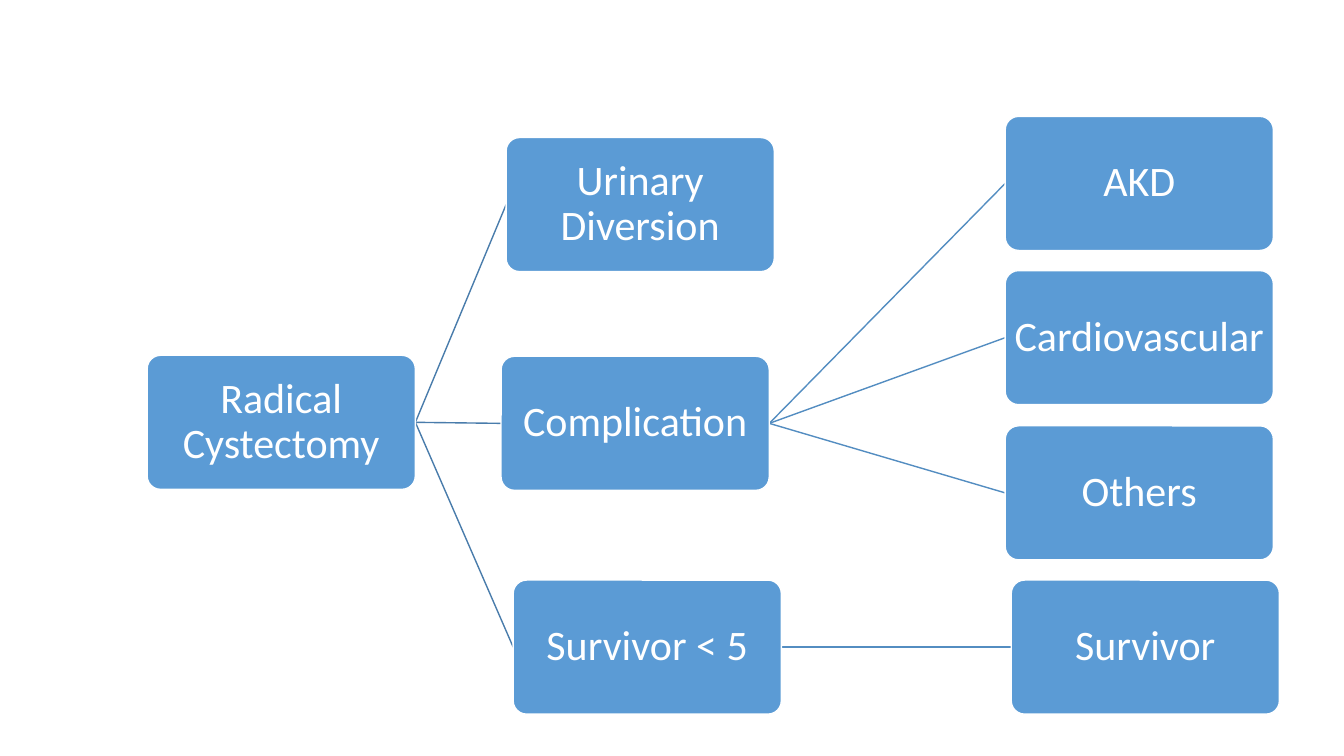
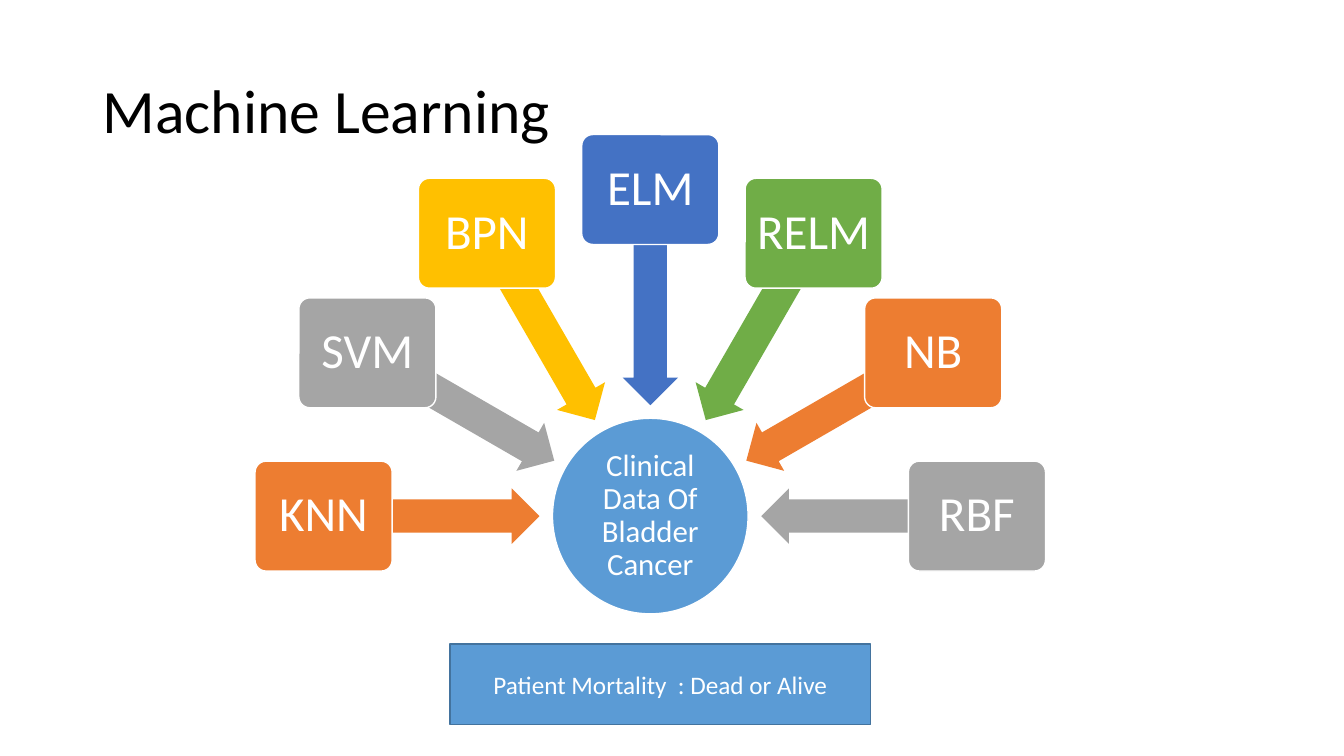
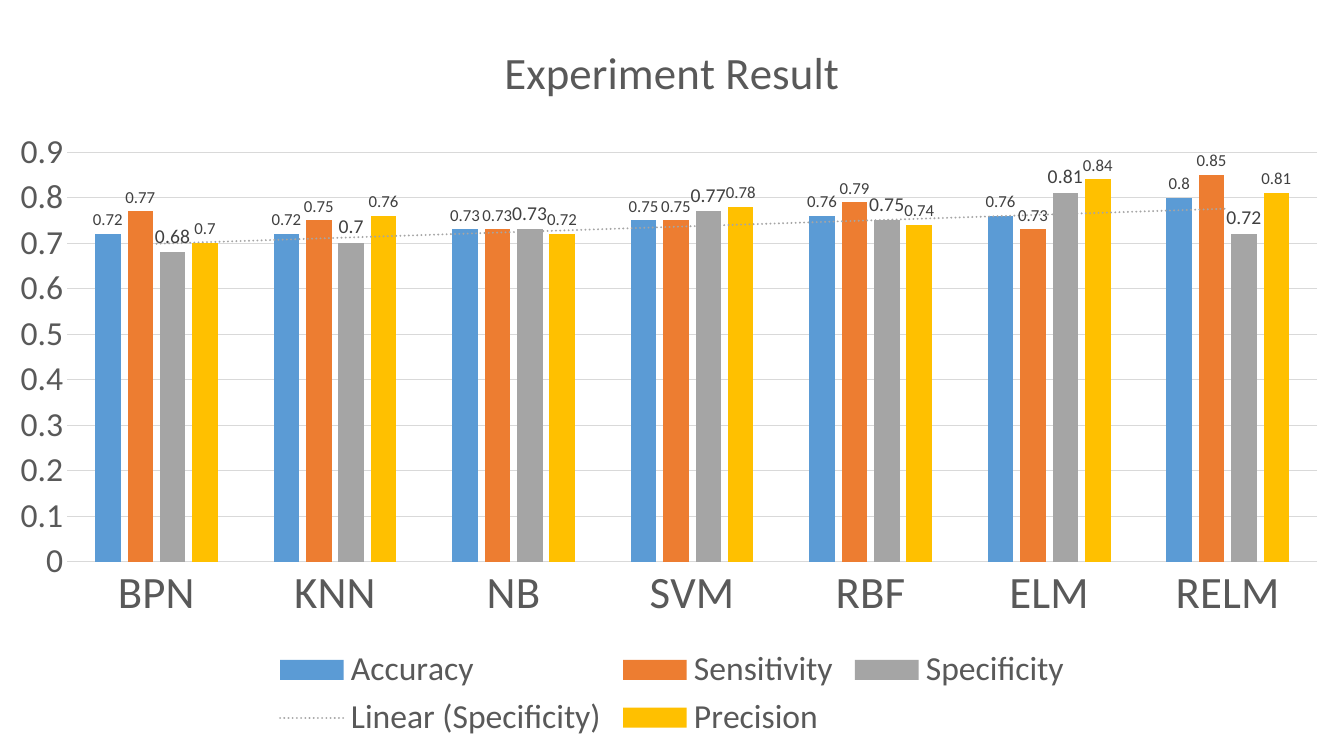
from math import cos, radians, sin

from pptx import Presentation
from pptx.chart.data import CategoryChartData
from pptx.dml.color import RGBColor
from pptx.enum.chart import (XL_CHART_TYPE, XL_LABEL_POSITION,
                             XL_LEGEND_POSITION, XL_TICK_MARK)
from pptx.enum.shapes import MSO_CONNECTOR, MSO_SHAPE
from pptx.enum.text import MSO_ANCHOR, PP_ALIGN
from pptx.oxml import parse_xml
from pptx.oxml.ns import nsdecls, qn
from pptx.util import Inches, Pt

COLUMN = XL_CHART_TYPE.COLUMN_CLUSTERED
OUTSIDE = XL_LABEL_POSITION.OUTSIDE_END
BOTTOM = XL_LEGEND_POSITION.BOTTOM
NO_TICK = XL_TICK_MARK.NONE
STRAIGHT = MSO_CONNECTOR.STRAIGHT
ROUND, OVAL = MSO_SHAPE.ROUNDED_RECTANGLE, MSO_SHAPE.OVAL
ARROW, RECT = MSO_SHAPE.LEFT_ARROW, MSO_SHAPE.RECTANGLE
MIDDLE = MSO_ANCHOR.MIDDLE
LEFT, CENTER = PP_ALIGN.LEFT, PP_ALIGN.CENTER

FONT = "Calibri"
WHITE, BLACK, GREY = "FFFFFF", "000000", "595959"
BLUE, ORANGE, SILVER, GOLD = "5B9BD5", "ED7D31", "A5A5A5", "FFC000"
NAVY, GREEN, EDGE = "4472C4", "70AD47", "43739E"
NEAR, FAR = "497CAB", "538DC1"
PALE, DARK = "D9D9D9", "404040"


def rgb(code):
    return RGBColor.from_string(code)


def style(font, size, color):
    font.name, font.size, font.bold = FONT, Pt(size), False
    font.color.rgb = rgb(color)


def stroke(line, color, width):
    line.color.rgb = rgb(color)
    line.width = Pt(width)


class Deck:
    """Holds the presentation, its style and the current slide."""

    def __init__(self):
        self.prs = Presentation()
        self.prs.slide_width = Inches(13.33)
        self.prs.slide_height = Inches(7.5)

    def page(self):
        self.slide = self.prs.slides.add_slide(self.prs.slide_layouts[6])

    def label(self, shape, text, size, color=WHITE, align=CENTER,
              inset=None, space=0.9):
        frame = shape.text_frame
        frame.word_wrap = True
        frame.vertical_anchor = MIDDLE
        if inset is not None:
            frame.margin_left = frame.margin_right = Inches(inset)
            frame.margin_top = frame.margin_bottom = Inches(inset)
        para = frame.paragraphs[0]
        para.text = text
        para.alignment = align
        para.line_spacing = space
        style(para.font, size, color)

    def title(self, text):
        box = self.slide.shapes.add_textbox(
            Inches(0.92), Inches(0.4), Inches(11.5), Inches(1.45))
        self.label(box, text, 44, BLACK, LEFT)

    def shape(self, kind, mid, size, fill, line=WHITE, adjust=()):
        """Add a preset shape centred on the point mid."""
        (x, y), (w, h) = mid, size
        item = self.slide.shapes.add_shape(
            kind, Inches(x - w / 2), Inches(y - h / 2), Inches(w), Inches(h))
        item.shadow.inherit = False
        item.fill.solid()
        item.fill.fore_color.rgb = rgb(fill)
        if line:
            stroke(item.line, line, 1)
        else:
            item.line.fill.background()
        for i, value in enumerate(adjust):
            item.adjustments[i] = value
        return item

    def card(self, text, mid, size, fill, points, inset):
        item = self.shape(ROUND, mid, size, fill, adjust=[0.1])
        self.label(item, text, points, inset=inset)

    def link(self, start, end, color):
        line = self.slide.shapes.add_connector(
            STRAIGHT, *(Inches(v) for v in (*start, *end)))
        stroke(line.line, color, 1)
        line._element.spPr.append(
            parse_xml(f"<a:effectLst {nsdecls('a')}/>"))

    def chart(self, title, cats, rows, box):
        data = CategoryChartData()
        data.categories = cats
        for name, _, _, values in rows:
            data.add_series(name, values)
        chart = self.slide.shapes.add_chart(
            COLUMN, *(Inches(v) for v in box), data).chart
        style(chart.font, 10, BLACK)
        chart.has_title = True
        head = chart.chart_title.text_frame.paragraphs[0]
        head.text = title
        style(head.font, 32, GREY)
        chart.has_legend = True
        chart.legend.position = BOTTOM
        chart.legend.include_in_layout = False
        style(chart.legend.font, 24, GREY)

        plot = chart.plots[0]
        plot.gap_width, plot.overlap = 219, -27
        plot.vary_by_categories = False
        for row, series in zip(rows, plot.series):
            _, color, size, _ = row
            series.format.fill.solid()
            series.format.fill.fore_color.rgb = rgb(color)
            labels = series.data_labels
            labels.show_value = True
            labels.position = OUTSIDE
            style(labels.font, size, DARK)

        for axis, size in ((chart.category_axis, 32), (chart.value_axis, 24)):
            axis.major_tick_mark = axis.minor_tick_mark = NO_TICK
            style(axis.tick_labels.font, size, GREY)
        stroke(chart.category_axis.format.line, PALE, 0.75)
        scale = chart.value_axis
        scale.minimum_scale, scale.maximum_scale = 0, 0.9
        scale.major_unit = 0.1
        scale.format.line.fill.background()
        stroke(scale.major_gridlines.format.line, PALE, 0.75)
        return chart

    def trend(self, series, color):
        """Add a dotted linear trend line to a series."""
        series._element.find(qn("c:cat")).addprevious(parse_xml(
            f"<c:trendline {nsdecls('c', 'a')}><c:spPr>"
            f'<a:ln w="{Pt(1.5)}" cap="rnd"><a:solidFill>'
            f'<a:srgbClr val="{color}"/></a:solidFill>'
            '<a:prstDash val="sysDot"/></a:ln></c:spPr>'
            '<c:trendlineType val="linear"/><c:dispRSqr val="0"/>'
            '<c:dispEq val="0"/></c:trendline>'))

    def place(self, plot, x, y, w, h):
        """Fix the inner plot area, in fractions of the chart."""
        area = plot._element.getparent()
        for old in area.findall(qn("c:layout")):
            area.remove(old)
        sizes = "".join(f'<c:{tag} val="{value}"/>' for tag, value in
                        (("x", x), ("y", y), ("w", w), ("h", h)))
        area.insert(0, parse_xml(
            f"<c:layout {nsdecls('c')}><c:manualLayout>"
            '<c:layoutTarget val="inner"/><c:xMode val="edge"/>'
            f'<c:yMode val="edge"/>{sizes}</c:manualLayout></c:layout>'))


def tree(deck):
    deck.page()
    wide, high = 2.66, 1.33
    nodes = {
        "Radical Cystectomy": (2.79, 4.19),
        "Urinary Diversion": (6.35, 2.03),
        "Complication": (6.3, 4.2),
        "Survivor < 5": (6.42, 6.42),
        "AKD": (11.3, 1.82),
        "Cardiovascular": (11.3, 3.35),
        "Others": (11.3, 4.89),
        "Survivor": (11.36, 6.42),
    }
    kids = {
        "Radical Cystectomy": (
            NEAR, ["Urinary Diversion", "Complication", "Survivor < 5"]),
        "Complication": (FAR, ["AKD", "Cardiovascular", "Others"]),
        "Survivor < 5": (FAR, ["Survivor"]),
    }
    for root, (color, names) in kids.items():
        x, y = nodes[root]
        for name in names:
            left, mid = nodes[name]
            deck.link((x + wide / 2, y), (left - wide / 2, mid), color)
    for name, mid in nodes.items():
        deck.card(name, mid, (wide, high), BLUE, 30, 0.02)


def fan(deck):
    deck.page()
    deck.title("Machine Learning")
    hub = (6.45, 5.12)
    core = deck.shape(OVAL, hub, (1.94, 1.94), BLUE)
    deck.label(core, "Clinical Data Of Bladder Cancer", 22, inset=0.02)
    models = [("KNN", ORANGE), ("SVM", SILVER), ("BPN", GOLD), ("ELM", NAVY),
              ("RELM", GREEN), ("NB", ORANGE), ("RBF", SILVER)]

    def spot(angle, reach):
        turn = radians(angle)
        return hub[0] + reach * cos(turn), hub[1] + reach * sin(turn)

    for i, (name, color) in enumerate(models):
        angle = 180 + 30 * i
        arrow = deck.shape(ARROW, spot(angle, 2.17), (2.14, 0.55), color,
                           None, [0.6, 0.5])
        arrow.rotation = angle % 360
        deck.card(name, spot(angle, 3.24), (1.36, 1.09), color, 35, 0.07)
    goal = deck.shape(RECT, (6.55, 6.79), (4.17, 0.8), BLUE, EDGE)
    deck.label(goal, "Patient Mortality  : Dead or Alive", 18, space=1.0)


def results(deck):
    deck.page()
    cats = ["BPN", "KNN", "NB", "SVM", "RBF", "ELM", "RELM"]
    rows = [
        ("Accuracy", BLUE, 12, [0.72, 0.72, 0.73, 0.75, 0.76, 0.76, 0.8]),
        ("Sensitivity", ORANGE, 12,
         [0.77, 0.75, 0.73, 0.75, 0.79, 0.73, 0.85]),
        ("Specificity", SILVER, 14,
         [0.68, 0.7, 0.73, 0.77, 0.75, 0.81, 0.72]),
        ("Precision", GOLD, 12, [0.7, 0.76, 0.72, 0.78, 0.74, 0.84, 0.81]),
    ]
    chart = deck.chart("Experiment Result", cats, rows,
                       (0, 0.13, 13.33, 7.26))
    plot = chart.plots[0]
    deck.trend(plot.series[2], SILVER)
    deck.place(plot, 0.05, 0.19, 0.93, 0.56)


def main():
    deck = Deck()
    for build in (tree, fan, results):
        build(deck)
    deck.prs.save("out.pptx")


if __name__ == "__main__":
    main()
